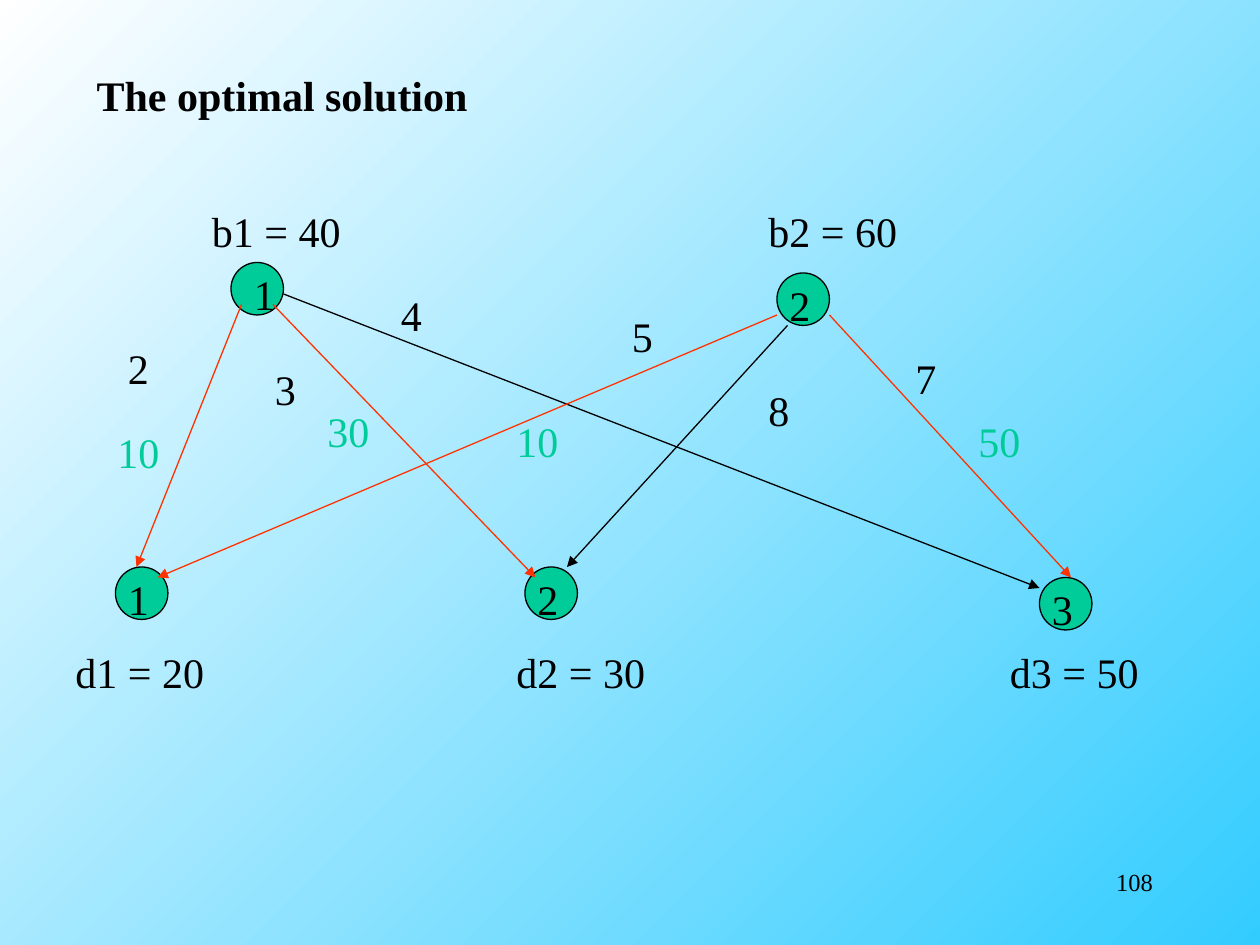
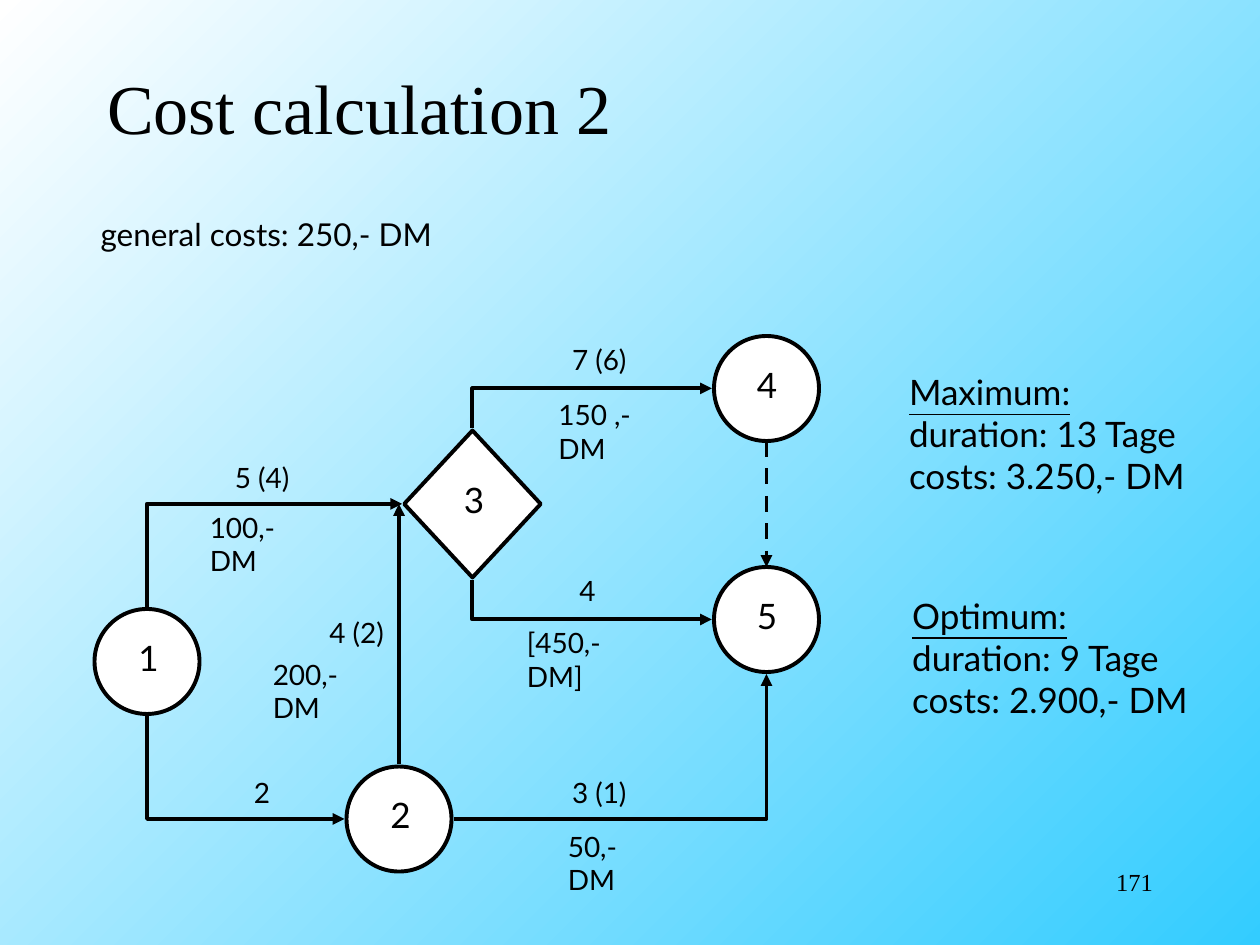
import pptx
import pptx.util
import pptx.dml.color
import pptx.enum.dml
import pptx.enum.shapes
import pptx.enum.text
import pptx.oxml
import pptx.oxml.ns
from lxml import etree

Pt = pptx.util.Pt
Cm = pptx.util.Cm
KIND = pptx.enum.shapes.MSO_SHAPE
LINK = pptx.enum.shapes.MSO_CONNECTOR
ALIGN = pptx.enum.text.PP_ALIGN
qn = pptx.oxml.ns.qn

# All places and sizes are counted in grid steps of a twelfth of an inch.
STEP = 2.54 / 12
COLORS = {"sky": "33CCFF", "white": "FFFFFF", "black": "000000",
          "green": "00CC99", "red": "FF3300"}
SERIF, SANS = "Times New Roman", "Lato"

# Transport network: nodes (x, y), arrows (start, end, colour)
NODES = [(22, 25), (74, 26), (11, 54), (50, 54), (99, 55)]
ROUTES = [
    ((23, 29), (13, 54), "red"),
    ((26, 29), (51, 55), "red"),
    ((27, 28), (99, 56), "black"),
    ((74, 30), (15, 55), "red"),
    ((75, 31), (54, 54), "black"),
    ((79, 30), (102, 55), "red"),
]
# Labels: (text, x, y, width)
NAMES = [
    ("1", 23, 25, 4), ("2", 74, 26, 5),
    ("1", 11, 54, 5), ("2", 50, 54, 6), ("3", 99, 55, 5),
]
COSTS = [
    ("4", 37, 27, 8), ("2", 11, 32, 7), ("3", 25, 34, 7),
    ("5", 59, 29, 8), ("8", 72, 36, 6), ("7", 86, 33, 13),
]
STOCKS = [
    ("b2 = 60", 72, 19, 20), ("b1 = 40", 19, 19, 21),
    ("d1 = 20", 6, 61, 18), ("d2 = 30", 48, 61, 20), ("d3 = 50", 95, 61, 19),
]
FLOWS = [("10", 10, 40, 8), ("30", 30, 38, 9), ("10", 48, 39, 9), ("50", 92, 39, 10)]

# Activity network
EVENTS = [
    (KIND.OVAL, 9, 58, 10, 10),
    (KIND.OVAL, 33, 73, 10, 10),
    (KIND.OVAL, 68, 54, 10, 10),
    (KIND.OVAL, 68, 32, 10, 10),
    (KIND.FLOWCHART_DECISION, 38.5, 41, 13, 14),
]
DIGITS = [("1", 12, 60), ("2", 36, 75), ("3", 43, 45), ("4", 70.9, 34), ("5", 70.9, 56)]
RISERS = [
    ((45, 55.2), (67.8, 59)),
    ((45, 40.8), (67.8, 37)),
    ((14, 68.2), (32.8, 78)),
    ((14, 57.8), (38.3, 48)),
]
TIMES = [
    ("5 (4)", 21.2, 43.3, 7.7), ("2", 23, 73.3, 3.8), ("7 (6)", 53.3, 32, 7.7),
    ("4", 54, 54, 3.8), ("4 (2)", 30.2, 58, 7.7), ("3 (1)", 53.3, 73.3, 7.7),
]
PRICES = [
    ("100,- DM", 18.8, 48), ("150 ,- DM", 52, 37.3), ("200,- DM", 24.8, 62),
    ("50,- DM", 52.9, 78.4), ("[450,- DM]", 49, 59),
]
TOTALS = [
    (["Maximum:", "duration: 13 Tage", "costs: 3.250,- DM"], 85.4, 34.7, 30),
    (["Optimum:", "duration: 9 Tage", "costs: 2.900,- DM"], 85.7, 56, 29),
]


def grid(*steps):
    return [Cm(n * STEP) for n in steps]


def rgb(name):
    return pptx.dml.color.RGBColor.from_string(COLORS[name])


def write(shape, lines, size, font, color="black", bold=False, align=ALIGN.LEFT, wrap=True):
    frame = shape.text_frame
    frame.text = "\n".join(lines)
    frame.word_wrap = wrap
    frame.auto_size = pptx.enum.text.MSO_AUTO_SIZE.NONE
    frame.vertical_anchor = pptx.enum.text.MSO_ANCHOR.TOP
    for para in frame.paragraphs:
        para.alignment = align
        para.font.size = Pt(size)
        para.font.name = font
        para.font.bold = bold
        para.font.color.rgb = rgb(color)
    return frame


def label(slide, lines, x, y, w, h, size, font, **style):
    box = slide.shapes.add_textbox(*grid(x, y, w, h))
    return write(box, lines, size, font, **style)


def node(slide, kind, x, y, w, h, fill, width):
    shape = slide.shapes.add_shape(kind, *grid(x, y, w, h))
    shape.shadow.inherit = False
    shape.fill.solid()
    shape.fill.fore_color.rgb = rgb(fill)
    shape.line.color.rgb = rgb("black")
    shape.line.width = Pt(width)


def arrow(slide, start, end, color, width, kind=LINK.STRAIGHT, dash=False):
    link = slide.shapes.add_connector(kind, *grid(*start, *end))
    link.line.color.rgb = rgb(color)
    link.line.width = Pt(width)
    if dash:
        link.line.dash_style = pptx.enum.dml.MSO_LINE.DASH
    props = link._element.spPr
    etree.SubElement(props.find(qn("a:ln")), qn("a:tailEnd"), type="triangle")
    etree.SubElement(props, qn("a:effectLst"))
    return props


def bend(slide, start, end):
    """Arrow with one corner that leaves sideways."""
    props = arrow(slide, start, end, "black", 2.25, LINK.ELBOW)
    props.find(qn("a:prstGeom")).set("prst", "bentConnector2")
    return props


def riser(slide, start, end):
    """Arrow that leaves up or down, then turns right: a quarter-turned bend."""
    (x1, y1), (x2, y2) = start, end
    down = y2 > y1
    mid_x, mid_y = (x1 + x2) / 2, (y1 + y2) / 2
    half_w = abs(y2 - y1) / 2
    half_h = (x2 - x1) / 2 * (1 if down else -1)
    props = bend(slide, (mid_x + half_w, mid_y - half_h),
                 (mid_x - half_w, mid_y + half_h))
    props.find(qn("a:xfrm")).set("rot", str((270 if down else 90) * 60000))


def start_slide(deck, title, place, size, bold, number):
    slide = deck.slides.add_slide(deck.slide_layouts[5])
    head = slide.shapes.title
    head.left, head.top, head.width, head.height = grid(*place)
    write(head, [title], size, SERIF, bold=bold)
    label(slide, [number], 86, 82, 25, 6, 14, SERIF, align=ALIGN.RIGHT)
    return slide


def paint(deck):
    fill = deck.slide_master.background.fill
    fill.gradient()
    fill.gradient_angle = 135
    for stop, name, place in zip(fill.gradient_stops, ("sky", "white"), (0, 1)):
        stop.color.rgb = rgb(name)
        stop.position = place


def transport(deck):
    slide = start_slide(deck, "The optimal solution", (8, 6, 87, 6), 24, True, "108")
    for x, y in NODES:
        node(slide, KIND.OVAL, x, y, 5, 5, "green", 0.75)
    for start, end, color in ROUTES:
        arrow(slide, start, end, color, 0.75)
    for group, color in ((NAMES + COSTS + STOCKS, "black"), (FLOWS, "green")):
        for text, x, y, w in group:
            label(slide, [text], x, y, w, 6, 24, SERIF, color=color)


def activity(deck):
    slide = start_slide(deck, "Cost calculation 2", (9, 5.5, 52, 9.2), 40, False, "171")
    for event in EVENTS:
        node(slide, *event, "white", 2.25)
    for start, end in RISERS:
        riser(slide, start, end)
    bend(slide, (43.2, 78), (73, 64.2))
    arrow(slide, (38, 72.8), (38, 48), "black", 2.25)
    arrow(slide, (73, 42), (73, 54), "black", 2.25, dash=True)
    label(slide, ["general costs: 250,- DM"], 8.4, 19.9, 35.3, 4.8, 18, SANS, wrap=False)
    for text, x, y in DIGITS:
        label(slide, [text], x, y, 4.3, 5.3, 20, SANS, wrap=False)
    for text, x, y, w in TIMES:
        label(slide, [text], x, y, w, 4.4, 16, SANS, wrap=False)
    for text, x, y in PRICES:
        label(slide, [text], x, y, 10.2, 7.6, 16, SANS)
    for lines, x, y, w in TOTALS:
        frame = label(slide, lines, x, y, w, 13.2, 20, SANS, wrap=False)
        frame.paragraphs[0].font.underline = True


def main():
    deck = pptx.Presentation()
    deck.slide_width, deck.slide_height = Cm(25.4), Cm(19.05)
    paint(deck)
    transport(deck)
    activity(deck)
    deck.save("out.pptx")


if __name__ == "__main__":
    main()
